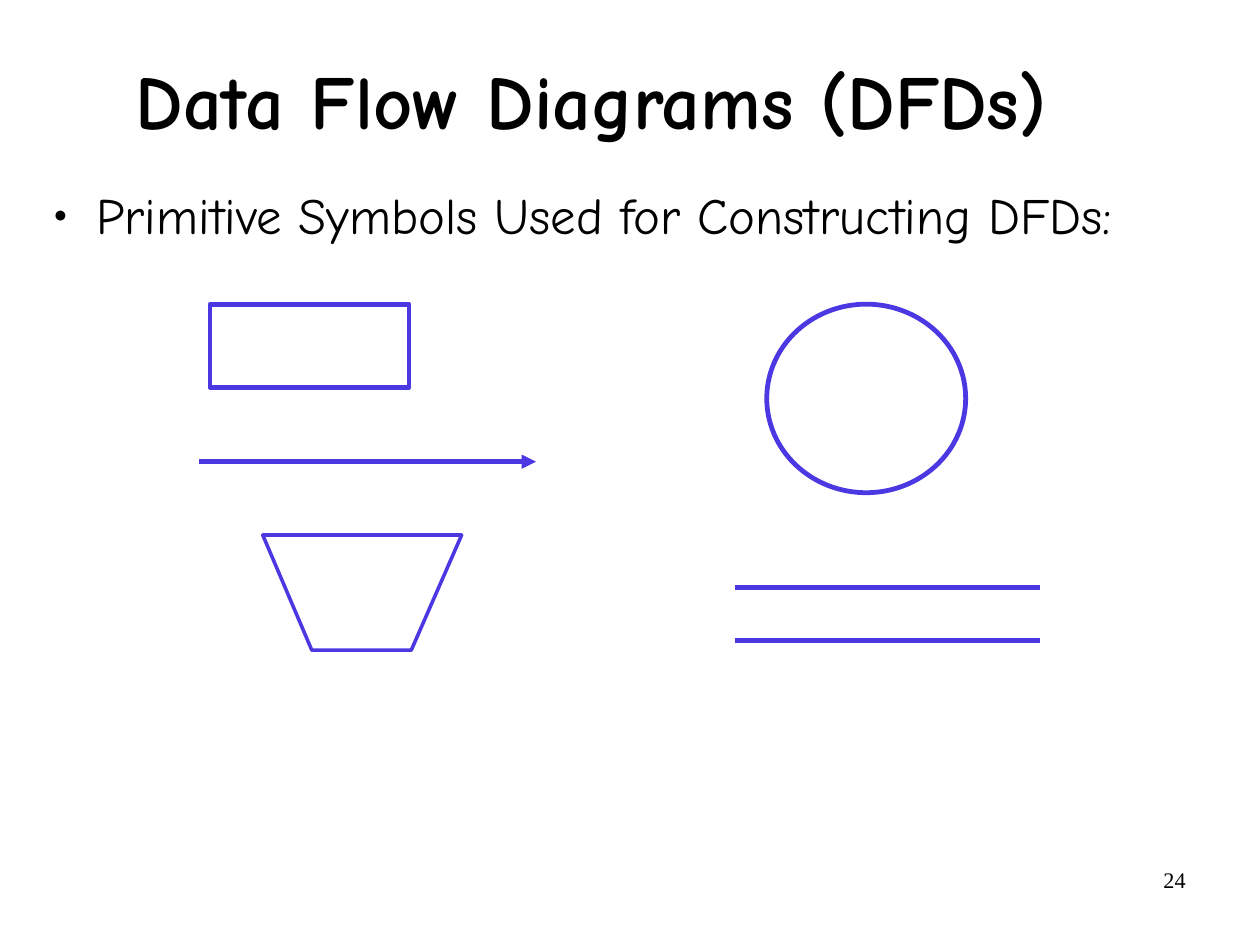
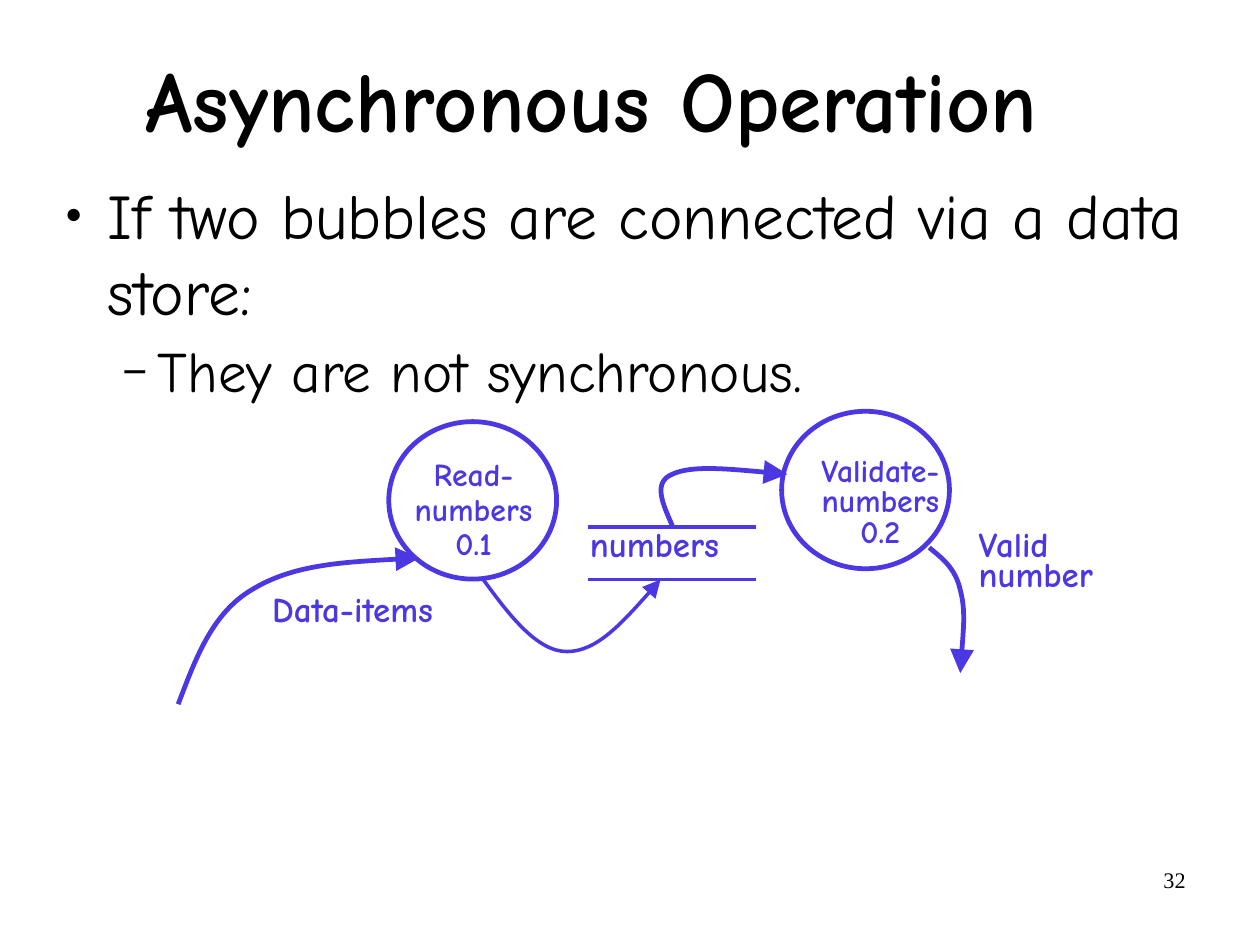
from dataclasses import dataclass
from typing import NamedTuple

from lxml import etree
from pptx import Presentation
from pptx.dml.color import RGBColor
from pptx.enum.shapes import MSO_CONNECTOR, MSO_SHAPE
from pptx.enum.text import MSO_ANCHOR, MSO_AUTO_SIZE, PP_ALIGN
from pptx.oxml.ns import qn
from pptx.util import Cm, Pt

LEFT, CENTER, RIGHT = PP_ALIGN.LEFT, PP_ALIGN.CENTER, PP_ALIGN.RIGHT
TOP, MIDDLE = MSO_ANCHOR.TOP, MSO_ANCHOR.MIDDLE
NO_AUTOFIT = MSO_AUTO_SIZE.NONE
STRAIGHT = MSO_CONNECTOR.STRAIGHT
ELLIPSE, ROUND_RECT = MSO_SHAPE.OVAL, MSO_SHAPE.ROUNDED_RECTANGLE
TITLE_AND_CONTENT = 1


@dataclass(frozen=True)
class Theme:
    ink: RGBColor = RGBColor(0x00, 0x00, 0x00)
    accent: RGBColor = RGBColor(0x4C, 0x38, 0xE2)
    font: str = "Comic Neue"
    number_font: str = "Times New Roman"
    number_size: float = 14
    bubble_size: float = 20
    label_size: float = 22
    thick: float = 3
    thin: float = 2.25


THEME = Theme()


class Box(NamedTuple):
    """Position and size in centimetres."""
    left: float
    top: float
    width: float
    height: float

    def emu(self):
        return [Cm(v) for v in self]


class Bullet(NamedTuple):
    text: str
    size: float
    level: int
    char: str
    char_pct: int
    margin: float
    hanging: float
    line_spacing: float
    before: float
    after: float


class Label(NamedTuple):
    text: str
    box: Box
    size: float = THEME.label_size
    align: PP_ALIGN = LEFT
    line_spacing: float = 0.72
    before: float = 12.5


class Curve(NamedTuple):
    """A start point, then three points for each cubic segment."""
    points: list[tuple[float, float]]
    width: float = THEME.thick


TITLE_BOX = Box(1.24, 0.56, 23.8, 3.48)
NUMBER_BOX = Box(20.07, 19.13, 6.53, 1.45)

BUBBLE_W, BUBBLE_H = 3.73, 3.5
STORE_GAP = 1.17
BUBBLES = [Box(8.64, 9.37, BUBBLE_W, BUBBLE_H), Box(17.37, 9.14, BUBBLE_W, BUBBLE_H)]
LABELS = [
    Label("Data-items", Box(6, 13.15, BUBBLE_W, 2.13)),
    Label("Read-numbers\n0.1", Box(8.66, 10.06, BUBBLE_W, 3.07),
          THEME.bubble_size, CENTER, 0.9, 13),
    Label("Validate-numbers\n0.2", Box(17.7, 10.03, BUBBLE_W, 3.89),
          THEME.bubble_size, CENTER, 0.8, 13),
    Label("Valid number", Box(21.7, 11.71, BUBBLE_W, 2.13)),
    Label("numbers", Box(13.06, 11.71, BUBBLE_W, 1.19)),
]
FLOWS = [
    Curve([(3.96, 15.65), (4.34, 14.66), (4.7, 13.64), (5.59, 13.11),
           (6.5, 12.55), (7.9, 12.47), (9.32, 12.4)]),
    Curve([(20.65, 12.17), (20.93, 12.4), (21.23, 12.62), (21.34, 13.11),
           (21.46, 13.56), (21.39, 14.25), (21.34, 14.96)]),
    Curve([(14.94, 11.68), (14.73, 11.2), (14.5, 10.72), (14.94, 10.54),
           (15.37, 10.34), (16.43, 10.44), (17.5, 10.54)]),
    Curve([(10.74, 12.88), (11.33, 13.69), (11.94, 14.48), (12.6, 14.48),
           (13.26, 14.48), (13.97, 13.69), (14.68, 12.88)], THEME.thin),
]


def write(p, text: str, *, size: float, font: str = THEME.font,
          color: RGBColor = THEME.ink, bold: bool = False, align: PP_ALIGN = LEFT,
          line_spacing: float = 1.0, before: float = 0, after: float = 0) -> None:
    p.text = text
    p.alignment = align
    p.line_spacing = line_spacing
    p.space_before, p.space_after = Pt(before), Pt(after)
    for r in p.runs:
        r.font.name, r.font.size, r.font.bold = font, Pt(size), bold
        r.font.color.rgb = color


def set_frame(tf, anchor: MSO_ANCHOR = TOP, inset_x: float = 0.05,
              inset_y: float = 0.15) -> None:
    tf.word_wrap = True
    tf.auto_size = NO_AUTOFIT
    tf.vertical_anchor = anchor
    tf.margin_left = tf.margin_right = Cm(inset_x)
    tf.margin_top = tf.margin_bottom = Cm(inset_y)


def place(sp, box: Box) -> None:
    sp.left, sp.top, sp.width, sp.height = box.emu()


def set_bullet(p, b: Bullet) -> None:
    pPr = p._p.get_or_add_pPr()
    pPr.set("marL", str(Cm(b.margin)))
    pPr.set("indent", str(-Cm(b.hanging)))
    color = etree.SubElement(pPr, qn("a:buClr"))
    etree.SubElement(color, qn("a:srgbClr"), val=str(THEME.ink))
    etree.SubElement(pPr, qn("a:buSzPct"), val=str(b.char_pct * 1000))
    etree.SubElement(pPr, qn("a:buChar"), char=b.char)


def set_line(sp, width: float, head: str = "") -> None:
    """Colour the outline; head is an arrowhead size such as med or lg."""
    sp.line.color.rgb = THEME.accent
    sp.line.width = Pt(width)
    if head:
        etree.SubElement(sp.line._get_or_add_ln(), qn("a:tailEnd"),
                         type="triangle", w=head, len=head)


def add_outline(slide, kind: MSO_SHAPE, box: Box):
    sp = slide.shapes.add_shape(kind, *box.emu())
    sp.shadow.inherit = False
    sp.fill.background()
    set_line(sp, THEME.thick)
    return sp


def add_level_line(slide, left: float, top: float, length: float,
                   width: float = THEME.thick, head: str = "") -> None:
    cxn = slide.shapes.add_connector(
        STRAIGHT, Cm(left), Cm(top), Cm(left + length), Cm(top))
    set_line(cxn, width, head)
    etree.SubElement(cxn._element.spPr, qn("a:effectLst"))


def add_store(slide, left: float, top: float, length: float, width: float) -> None:
    """Draw the two parallel lines of a data store."""
    for i in range(2):
        add_level_line(slide, left, top + i * STORE_GAP, length, width)


def add_freeform(slide, points: list[tuple[float, float]], width: float,
                 close: bool = False, head: str = ""):
    start, *rest = [(Cm(x), Cm(y)) for x, y in points]
    builder = slide.shapes.build_freeform(*start)
    builder.add_line_segments(rest, close=close)
    sp = builder.convert_to_shape()
    sp.shadow.inherit = False
    sp.fill.background()
    set_line(sp, width, head)
    return sp


def add_curve(slide, curve: Curve) -> None:
    """Turn each three straight segments of a freeform into one cubic."""
    sp = add_freeform(slide, curve.points, curve.width, head="lg")
    outline = next(sp._element.iter(qn("a:path")))
    segments = outline.findall(qn("a:lnTo"))
    for i in range(0, len(segments), 3):
        cubic = etree.SubElement(outline, qn("a:cubicBezTo"))
        for segment in segments[i:i + 3]:
            cubic.append(segment[0])
            outline.remove(segment)


def add_label(slide, label: Label) -> None:
    tf = slide.shapes.add_textbox(*label.box.emu()).text_frame
    set_frame(tf)
    write(tf.paragraphs[0], label.text, size=label.size, color=THEME.accent,
          bold=True, align=label.align, line_spacing=label.line_spacing,
          before=label.before)


def add_slide(prs, title: str, title_size: float, title_before: float,
              body_box: Box, bullets: list[Bullet], number: int):
    slide = prs.slides.add_slide(prs.slide_layouts[TITLE_AND_CONTENT])
    heading, body = slide.shapes.title, slide.placeholders[1]

    place(heading, TITLE_BOX)
    set_frame(heading.text_frame, MIDDLE)
    write(heading.text_frame.paragraphs[0], title, size=title_size, bold=True,
          align=CENTER, line_spacing=0.94, before=title_before)

    place(body, body_box)
    tf = body.text_frame
    set_frame(tf)
    for i, b in enumerate(bullets):
        p = tf.add_paragraph() if i else tf.paragraphs[0]
        p.level = b.level
        write(p, b.text, size=b.size, line_spacing=b.line_spacing,
              before=b.before, after=b.after)
        set_bullet(p, b)

    tf = slide.shapes.add_textbox(*NUMBER_BOX.emu()).text_frame
    set_frame(tf, inset_x=0.25, inset_y=0.13)
    write(tf.paragraphs[0], str(number), size=THEME.number_size,
          font=THEME.number_font, align=RIGHT)
    return slide


def build_symbols(prs) -> None:
    slide = add_slide(
        prs, "Data Flow Diagrams (DFDs)", 48, 9.9, Box(1.14, 3.94, 26.29, 13.54),
        [Bullet("Primitive Symbols Used for Constructing DFDs:", 32, 0, "●", 45,
                0.95, 0.95, 1.0, 5.4, 1)], 24)
    entity = add_outline(slide, ROUND_RECT, Box(4.67, 6.76, 4.42, 1.85))
    entity.adjustments[0] = 0
    add_outline(slide, ELLIPSE, Box(17.04, 6.76, 4.42, 4.19))
    add_level_line(slide, 4.42, 10.26, 7.49, head="med")
    add_store(slide, 16.33, 13.06, 6.78, THEME.thick)
    add_freeform(slide, [(5.84, 11.89), (10.26, 11.89), (9.14, 14.45), (6.93, 14.45)],
                 THEME.thin, close=True)


def build_asynchronous(prs) -> None:
    slide = add_slide(
        prs, "Asynchronous Operation", 54, 5.2, Box(1.4, 3.76, 25.6, 13.26),
        [Bullet("If two bubbles are connected via a data store:", 40, 0, "●", 45,
                0.95, 0.95, 1.0, 9.9, 1),
         Bullet("They are not synchronous.", 36, 1, "−", 75,
                2.06, 0.79, 0.94, 7.1, 10.9)], 32)
    for bubble in BUBBLES:
        add_outline(slide, ELLIPSE, bubble)
    for label in LABELS:
        add_label(slide, label)
    add_store(slide, 13.06, 11.71, BUBBLE_W, THEME.thin)
    for flow in FLOWS:
        add_curve(slide, flow)


def main() -> None:
    prs = Presentation()
    prs.slide_width, prs.slide_height = Cm(28), Cm(21)
    build_symbols(prs)
    build_asynchronous(prs)
    prs.save("out.pptx")


if __name__ == "__main__":
    main()
